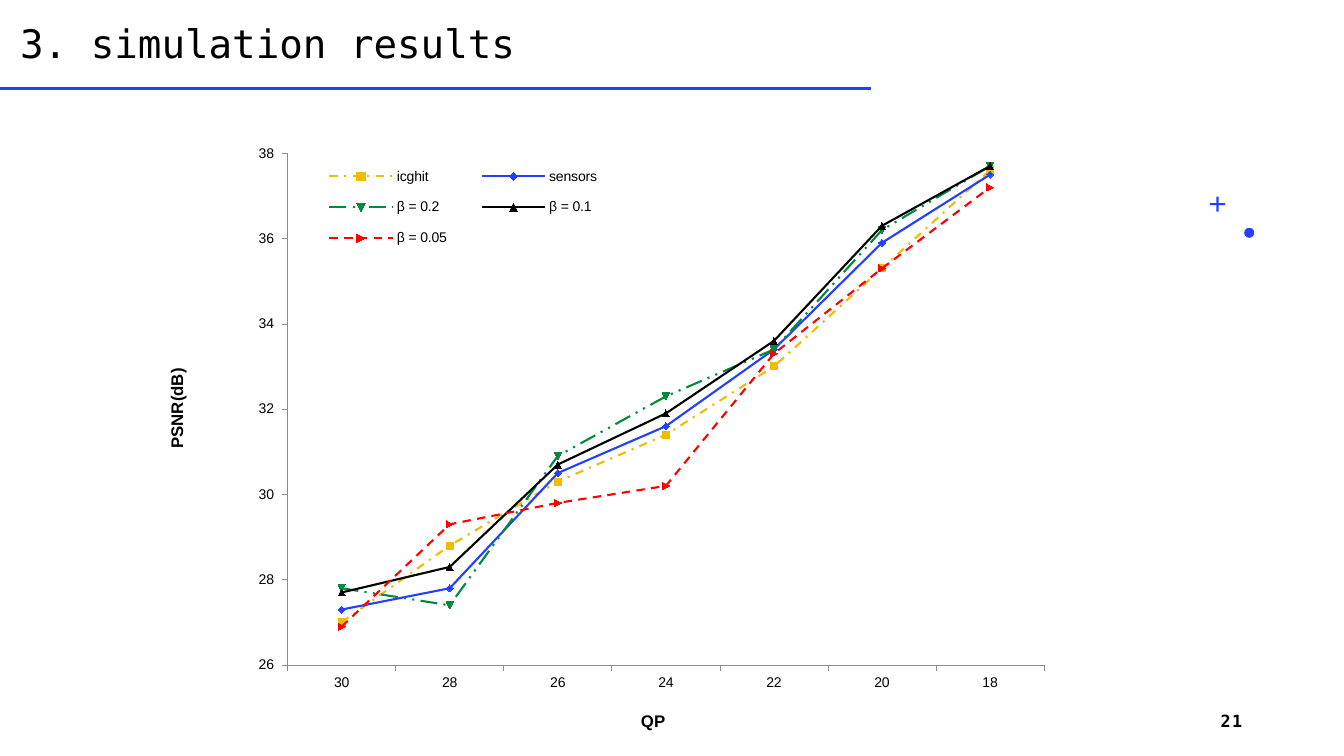
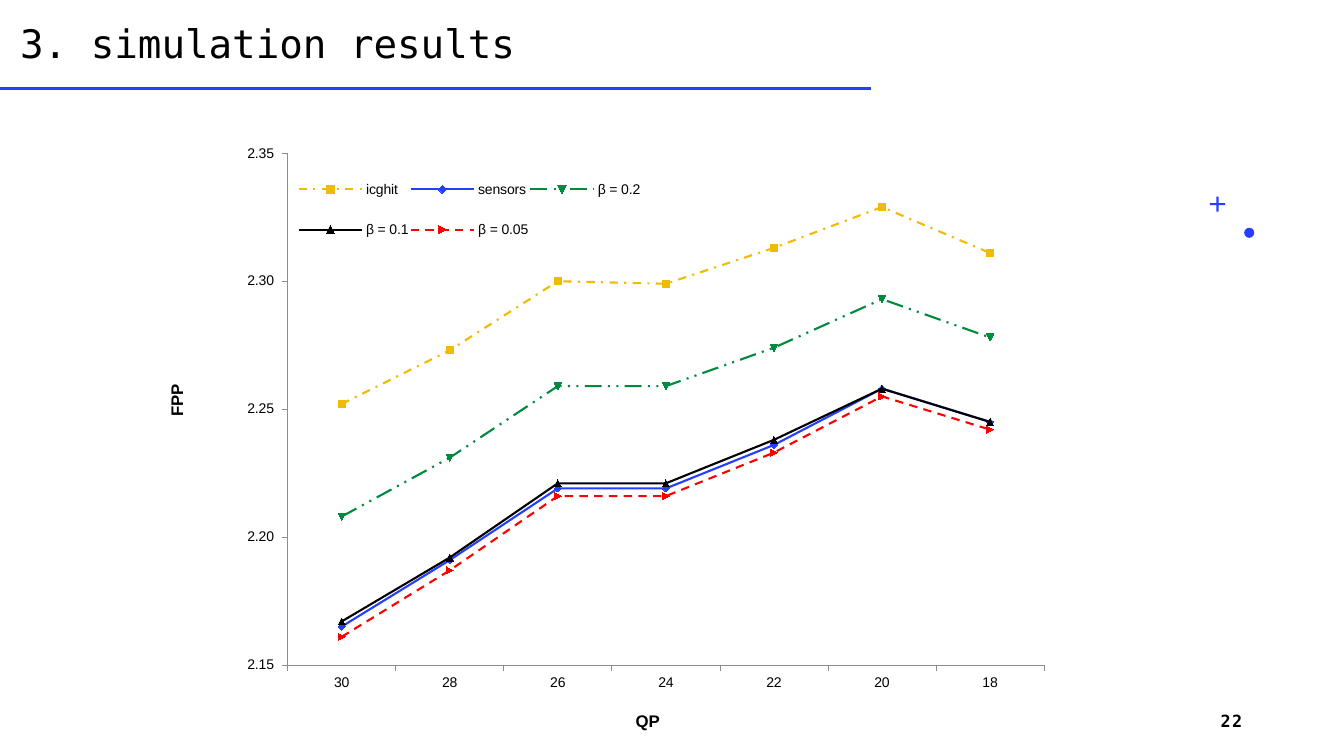
import lxml.etree
import pptx
import pptx.chart.data
import pptx.dml.color
import pptx.enum.chart
import pptx.enum.dml
import pptx.enum.shapes
import pptx.enum.text
import pptx.oxml.ns
import pptx.util

Inches = pptx.util.Inches
Pt = pptx.util.Pt
RGBColor = pptx.dml.color.RGBColor
Dash = pptx.enum.dml.MSO_LINE
Shape = pptx.enum.shapes.MSO_SHAPE
Tick = pptx.enum.chart.XL_TICK_MARK
qn = pptx.oxml.ns.qn

# Shared colours and fonts
BLUE = RGBColor(0x24, 0x3F, 0xFF)
BLACK = RGBColor(0, 0, 0)
GREY = RGBColor(0x8C, 0x8C, 0x8C)
YELLOW = RGBColor(0xEF, 0xBC, 0x03)
GREEN = RGBColor(0, 0x8A, 0x3E)
RED = RGBColor(0xFF, 0, 0)
MONO = "DejaVu Sans Mono"

TITLE_FONT = {"name": MONO, "size": Pt(28), "bold": False}
NUMBER_FONT = {"name": MONO, "size": Pt(12), "bold": True}
LABEL_FONT = {"name": "Arial", "size": Pt(10), "bold": False}
AXIS_TITLE_FONT = {"name": "Arial", "size": Pt(12), "bold": True}

# Shared chart content: series name, colour and dash
QP_STEPS = ["30", "28", "26", "24", "22", "20", "18"]
SERIES_STYLES = [
    ("icghit", YELLOW, Dash.DASH_DOT),
    ("sensors", BLUE, Dash.SOLID),
    ("β = 0.2", GREEN, Dash.DASH_DOT_DOT),
    ("β = 0.1", BLACK, Dash.SOLID),
    ("β = 0.05", RED, Dash.DASH),
]
PLOT_LAYOUT = {"x": 0.147, "y": 0.027, "w": 0.853, "h": 0.852}

RESULTS = [
    {
        "number": "21",
        "measure": "PSNR(dB)",
        "scale": {"minimum_scale": 26, "maximum_scale": 38, "major_unit": 2},
        "format": "0_ ",
        "legend": {"x": 0.16, "y": 0.027, "w": 0.37, "h": 0.18},
        "qp_title": {"x": 0.542, "y": 0.95},
        "measure_title": {"x": 0.007, "y": 0.38},
        "values": [
            [27, 28.8, 30.3, 31.4, 33, 35.3, 37.6],
            [27.3, 27.8, 30.5, 31.6, 33.4, 35.9, 37.5],
            [27.8, 27.4, 30.9, 32.3, 33.4, 36.2, 37.7],
            [27.7, 28.3, 30.7, 31.9, 33.6, 36.3, 37.7],
            [26.9, 29.3, 29.8, 30.2, 33.3, 35.3, 37.2],
        ],
    },
    {
        "number": "22",
        "measure": "FPP",
        "scale": {"minimum_scale": 2.15, "maximum_scale": 2.35, "major_unit": 0.05},
        "format": "0.00_ ",
        "legend": {"x": 0.157, "y": 0.033, "w": 0.39, "h": 0.175},
        "qp_title": {"x": 0.536, "y": 0.95},
        "measure_title": {"x": 0.007, "y": 0.406},
        "values": [
            [2.252, 2.273, 2.3, 2.299, 2.313, 2.329, 2.311],
            [2.165, 2.191, 2.219, 2.219, 2.236, 2.258, 2.245],
            [2.208, 2.231, 2.259, 2.259, 2.274, 2.293, 2.278],
            [2.167, 2.192, 2.221, 2.221, 2.238, 2.258, 2.245],
            [2.161, 2.187, 2.216, 2.216, 2.233, 2.255, 2.242],
        ],
    },
]


def set_attributes(target, values):
    for name, value in values.items():
        setattr(target, name, value)


def set_font(font, values, color=BLACK):
    set_attributes(font, values)
    font.color.rgb = color


def set_line(line, color, width, dash=None):
    line.color.rgb = color
    line.width = Pt(width)
    if dash is not None:
        line.dash_style = dash


def set_layout(element, position, after=None, inner=False):
    """Place a chart part by fractions of the chart's size."""
    for old in element.findall(qn("c:layout")):
        element.remove(old)
    layout = lxml.etree.Element(qn("c:layout"))
    manual = lxml.etree.SubElement(layout, qn("c:manualLayout"))
    entries = {"layoutTarget": "inner"} if inner else {}
    entries.update({"xMode": "edge", "yMode": "edge"}, **position)
    for name, value in entries.items():
        lxml.etree.SubElement(manual, qn("c:" + name)).set("val", str(value))
    if after is None:
        element.insert(0, layout)
    else:
        element.find(qn(after)).addnext(layout)


# Slide frame
def add_title(page, text):
    title = page.shapes.title
    set_attributes(title, {"left": Inches(0.1), "top": Inches(0.18),
                           "width": Inches(6.77), "height": Inches(0.55)})
    frame = title.text_frame
    set_attributes(frame, {"word_wrap": True,
                           "auto_size": pptx.enum.text.MSO_AUTO_SIZE.NONE,
                           "vertical_anchor": pptx.enum.text.MSO_ANCHOR.MIDDLE})
    para = frame.paragraphs[0]
    set_attributes(para, {"alignment": pptx.enum.text.PP_ALIGN.LEFT,
                          "line_spacing": 0.9})
    span = para.add_run()
    span.text = text
    set_font(span.font, TITLE_FONT)


def add_rule(page):
    rule = page.shapes.add_connector(
        pptx.enum.shapes.MSO_CONNECTOR.STRAIGHT,
        Inches(0), Inches(0.88), Inches(8.64), Inches(0.88))
    set_line(rule.line, BLUE, 2)
    lxml.etree.SubElement(rule._element.spPr, qn("a:effectLst"))


def add_ornament(page, kind, left, top, size):
    ornament = page.shapes.add_shape(
        kind, Inches(left), Inches(top), Inches(size), Inches(size))
    ornament.shadow.inherit = False
    ornament.fill.solid()
    ornament.fill.fore_color.rgb = BLUE
    ornament.line.fill.background()
    return ornament


def add_page_number(page, number):
    box = page.shapes.add_textbox(
        Inches(9.42), Inches(6.95), Inches(3), Inches(0.4))
    set_attributes(box.text_frame, {
        "word_wrap": True,
        "vertical_anchor": pptx.enum.text.MSO_ANCHOR.MIDDLE})
    para = box.text_frame.paragraphs[0]
    para.alignment = pptx.enum.text.PP_ALIGN.RIGHT
    span = para.add_run()
    span.text = number
    set_font(span.font, NUMBER_FONT)
    span._r.get_or_add_rPr().set("spc", "100")


def add_frame(page, number):
    add_rule(page)
    add_ornament(page, Shape.OVAL, 12.34, 2.26, 0.1)
    plus = add_ornament(page, Shape.CROSS, 12, 1.95, 0.15)
    plus.adjustments[0] = 0.43
    add_title(page, "3. simulation results")
    add_page_number(page, number)


# Charts
def style_axis(axis, text, title_position):
    set_attributes(axis, {"has_major_gridlines": False,
                          "major_tick_mark": Tick.OUTSIDE,
                          "minor_tick_mark": Tick.NONE})
    set_line(axis.format.line, GREY, 0.5)
    set_font(axis.tick_labels.font, LABEL_FONT)
    span = axis.axis_title.text_frame.paragraphs[0].add_run()
    span.text = text
    set_font(span.font, AXIS_TITLE_FONT)
    set_layout(axis.axis_title._element, title_position, "c:tx")


def style_series(series, color, dash):
    series.smooth = False
    set_line(series.format.line, color, 1.5, dash)
    marker = series.marker
    marker.size = 5
    marker.format.fill.solid()
    marker.format.fill.fore_color.rgb = color
    marker.format.line.color.rgb = color


def add_result_chart(page, result):
    data = pptx.chart.data.CategoryChartData()
    data.categories = QP_STEPS
    for (name, _, _), values in zip(SERIES_STYLES, result["values"]):
        data.add_series(name, values)
    chart = page.shapes.add_chart(
        pptx.enum.chart.XL_CHART_TYPE.LINE_MARKERS,
        Inches(1.56), Inches(1.36), Inches(8.8), Inches(5.96), data).chart
    chart.has_title = False
    set_font(chart.font, LABEL_FONT)
    set_layout(chart._chartSpace.chart.plotArea, PLOT_LAYOUT, inner=True)

    plot = chart.plots[0]
    plot.vary_by_categories = False
    for series, (_, color, dash) in zip(plot.series, SERIES_STYLES):
        style_series(series, color, dash)

    style_axis(chart.category_axis, "QP", result["qp_title"])
    style_axis(chart.value_axis, result["measure"], result["measure_title"])
    set_attributes(chart.value_axis, result["scale"])
    set_attributes(chart.value_axis.tick_labels, {
        "number_format": result["format"], "number_format_is_linked": False})

    chart.has_legend = True
    legend = chart.legend
    set_attributes(legend, {
        "position": pptx.enum.chart.XL_LEGEND_POSITION.RIGHT,
        "include_in_layout": False})
    set_font(legend.font, LABEL_FONT)
    set_layout(legend._element, result["legend"], "c:legendPos")


def main():
    deck = pptx.Presentation()
    set_attributes(deck, {"slide_width": Inches(13.33),
                          "slide_height": Inches(7.5)})
    title_only = deck.slide_layouts[5]
    for result in RESULTS:
        page = deck.slides.add_slide(title_only)
        add_frame(page, result["number"])
        add_result_chart(page, result)
    deck.save("out.pptx")


main()
